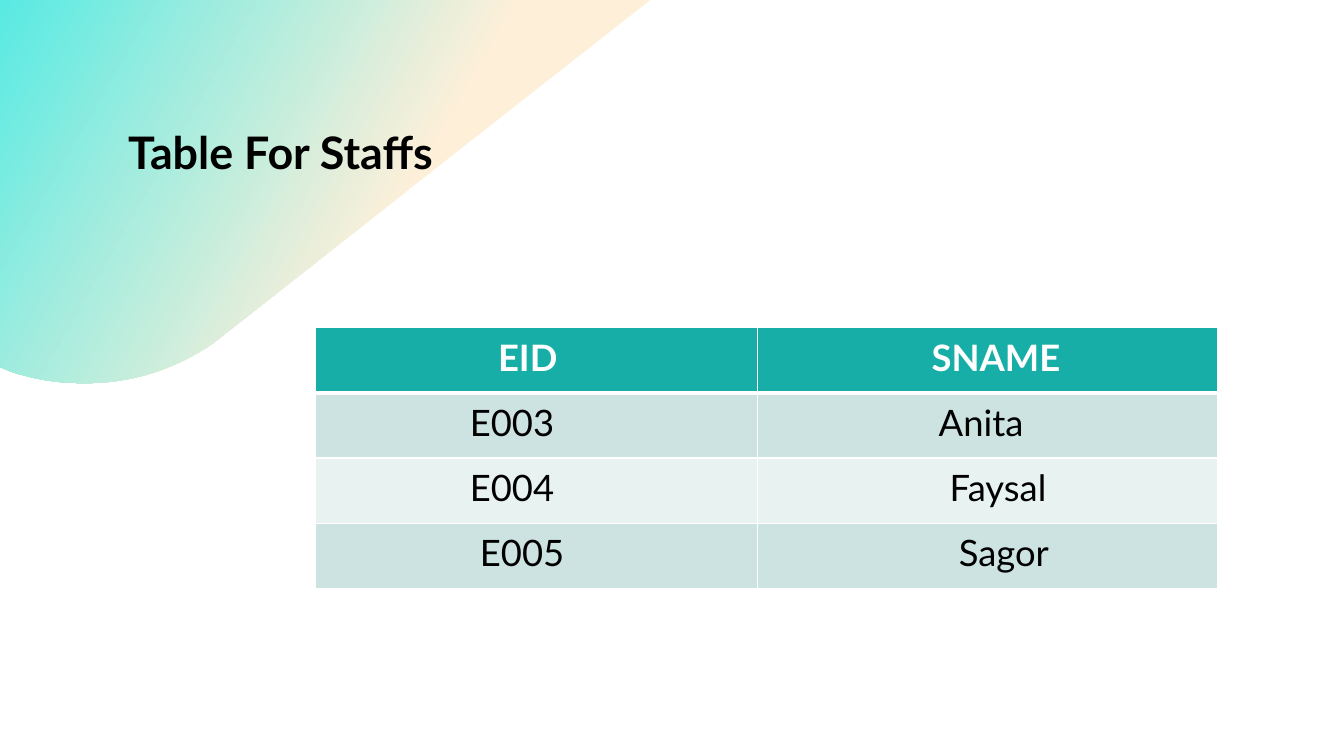
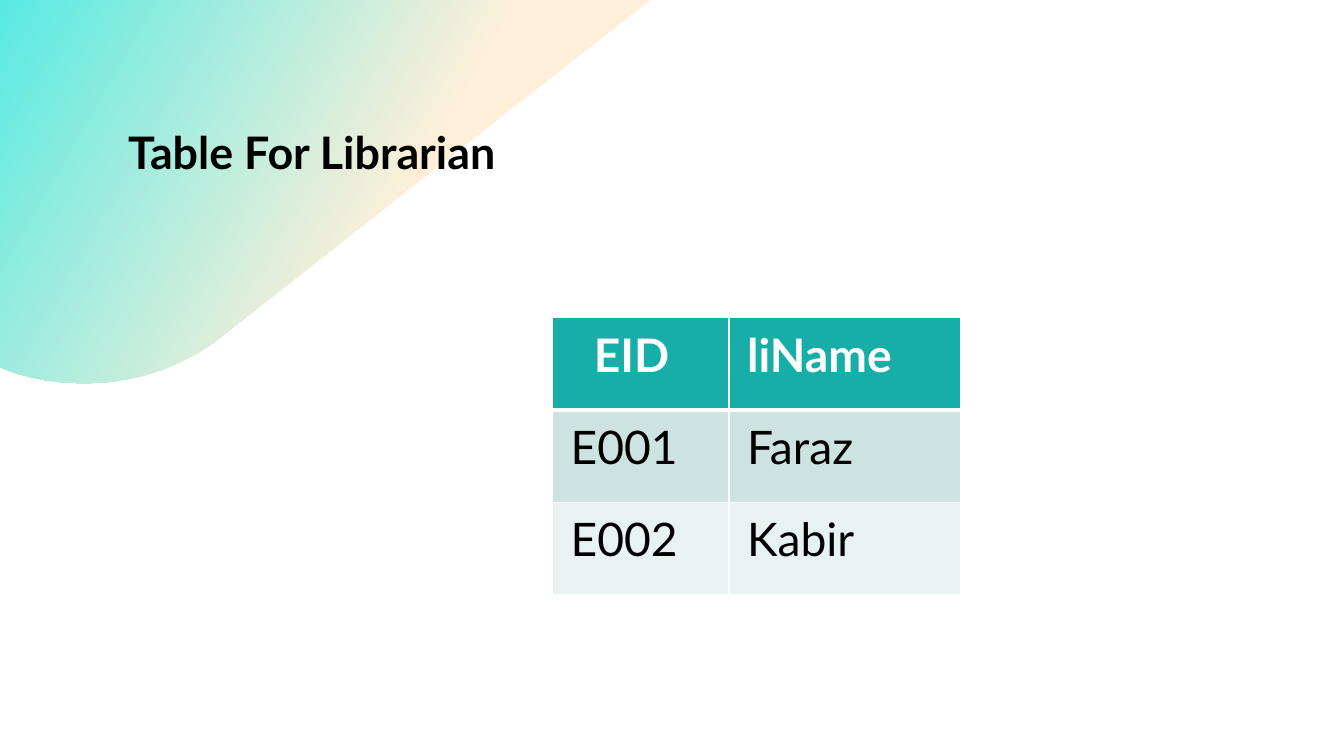
from dataclasses import dataclass

from lxml.etree import SubElement
from pptx import Presentation
from pptx.dml.color import RGBColor
from pptx.enum.text import MSO_ANCHOR, MSO_AUTO_SIZE, PP_ALIGN
from pptx.oxml.ns import qn
from pptx.slide import Slide
from pptx.table import _Cell as Cell
from pptx.text.text import TextFrame
from pptx.util import Inches, Pt

FONT = "Lato"
BLACK, WHITE = "000000", "FFFFFF"
HEADER_FILL = "16AEA7"
BAND_FILLS = ("CCE3E1", "E8F2F1")
CYAN, CREAM = "58EAE3", "FEEFD9"
THIN, THICK = 1, 3
TITLE_ONLY = 5
CURVE_STEPS = 24

Point = tuple[float, float]


@dataclass(frozen=True)
class Entry:
    text: str
    indent: float = 0


@dataclass(frozen=True)
class TableSlide:
    title: str
    left: float
    top: float
    columns: tuple[float, ...]
    height: float
    margin: float
    size: float
    rows: tuple[tuple[Entry, ...], ...]


TABLE_SLIDES = (
    TableSlide(
        "Table For Staffs", 3.13, 3.25, (4.38, 4.57), 2.59, 0.15, 26,
        (
            (Entry("EID", 1.66), Entry("SNAME", 1.58)),
            (Entry("E003", 1.38), Entry("Anita", 1.65)),
            (Entry("E004", 1.38), Entry("Faysal", 1.76)),
            (Entry("E005", 1.48), Entry("Sagor", 1.85)),
        ),
    ),
    TableSlide(
        "Table For Librarian", 5.48, 3.15, (1.75, 2.3), 2.75, 0.18, 33,
        (
            (Entry("EID", 0.23), Entry("liName")),
            (Entry("E001"), Entry("Faraz")),
            (Entry("E002"), Entry("Kabir")),
        ),
    ),
)


def color(value: str) -> RGBColor:
    return RGBColor.from_string(value)


def write_text(frame: TextFrame, text: str, *, size: float, fill: str = BLACK,
               bold: bool = False, indent: float = 0, spacing: float = 1) -> None:
    para = frame.paragraphs[0]
    para.alignment = PP_ALIGN.LEFT
    para.line_spacing = spacing
    para.space_before = Pt(0)
    if indent:
        properties = para._p.get_or_add_pPr()
        properties.set("marL", str(Inches(indent)))
        properties.set("indent", "0")
    span = para.add_run()
    span.text = text
    span.font.name = FONT
    span.font.size = Pt(size)
    span.font.bold = bold
    span.font.color.rgb = color(fill)


def curve(start: Point, first: Point, second: Point, end: Point) -> list[Point]:
    """Points along a cubic curve, without its start."""
    points = []
    for step in range(1, CURVE_STEPS + 1):
        t = step / CURVE_STEPS
        weights = ((1 - t) ** 3, 3 * t * (1 - t) ** 2, 3 * t * t * (1 - t), t ** 3)
        x, y = (sum(w * p[axis] for w, p in zip(weights, (start, first, second, end)))
                for axis in (0, 1))
        points.append((x, y))
    return points


def add_corner(slide: Slide) -> None:
    """Draw the gradient corner behind everything else."""
    outline = [
        (0, 0), (6.45, 0), (2.17, 3.36), (2.12, 3.4),
        *curve((2.12, 3.4), (1.76, 3.65), (1.34, 3.79), (0.92, 3.8)),
        *curve((0.92, 3.8), (0.88, 3.8), (0.84, 3.8), (0.79, 3.8)),
        *curve((0.79, 3.8), (0.56, 3.8), (0.32, 3.76), (0.09, 3.68)),
        (0, 3.64),
    ]
    builder = slide.shapes.build_freeform(0, 0, scale=Inches(1) / 1000)
    builder.add_line_segments([(round(x * 1000), round(y * 1000)) for x, y in outline[1:]])
    corner = builder.convert_to_shape()
    corner.shadow.inherit = False
    corner.line.fill.background()
    corner.fill.gradient()
    corner.fill.gradient_angle = 150
    for stop, position, value in zip(corner.fill.gradient_stops, (0.4, 1), (CREAM, CYAN)):
        stop.position = position
        stop.color.rgb = color(value)
    corner.element.getparent().insert(2, corner.element)


def set_title(slide: Slide, text: str) -> None:
    title = slide.shapes.title
    title.left, title.top = Inches(1.17), Inches(1.25)
    title.width, title.height = Inches(5.5), Inches(1.16)
    frame = title.text_frame
    frame.word_wrap = True
    frame.auto_size = MSO_AUTO_SIZE.NONE
    frame.vertical_anchor = MSO_ANCHOR.TOP
    write_text(frame, text, size=32, bold=True, spacing=0.9)


def set_borders(cell: Cell, top: float, bottom: float) -> None:
    properties = cell._tc.get_or_add_tcPr()
    sides = (("lnL", THIN), ("lnR", THIN), ("lnT", top), ("lnB", bottom))
    for position, (side, width) in enumerate(sides):
        line = SubElement(properties, qn(f"a:{side}"), w=str(Pt(width)))
        fill = SubElement(line, qn("a:solidFill"))
        SubElement(fill, qn("a:srgbClr"), val=WHITE)
        properties.insert(position, line)


def add_table(slide: Slide, item: TableSlide) -> None:
    table = slide.shapes.add_table(
        len(item.rows), len(item.columns), Inches(item.left), Inches(item.top),
        Inches(sum(item.columns)), Inches(item.height)).table
    table.horz_banding = False
    for column, width in zip(table.columns, item.columns):
        column.width = Inches(width)
    for row, entries in enumerate(item.rows):
        header = row == 0
        for column, entry in enumerate(entries):
            cell = table.cell(row, column)
            cell.margin_left = cell.margin_right = Inches(item.margin)
            cell.margin_top = cell.margin_bottom = Inches(item.margin / 2)
            cell.fill.solid()
            cell.fill.fore_color.rgb = color(
                HEADER_FILL if header else BAND_FILLS[(row - 1) % 2])
            set_borders(cell, THICK if row == 1 else THIN, THICK if header else THIN)
            write_text(cell.text_frame, entry.text, size=item.size, bold=header,
                       fill=WHITE if header else BLACK, indent=entry.indent)


def main() -> None:
    deck = Presentation()
    deck.slide_width, deck.slide_height = Inches(13.33), Inches(7.5)
    for item in TABLE_SLIDES:
        slide = deck.slides.add_slide(deck.slide_layouts[TITLE_ONLY])
        add_corner(slide)
        set_title(slide, item.title)
        add_table(slide, item)
    deck.save("out.pptx")


if __name__ == "__main__":
    main()
